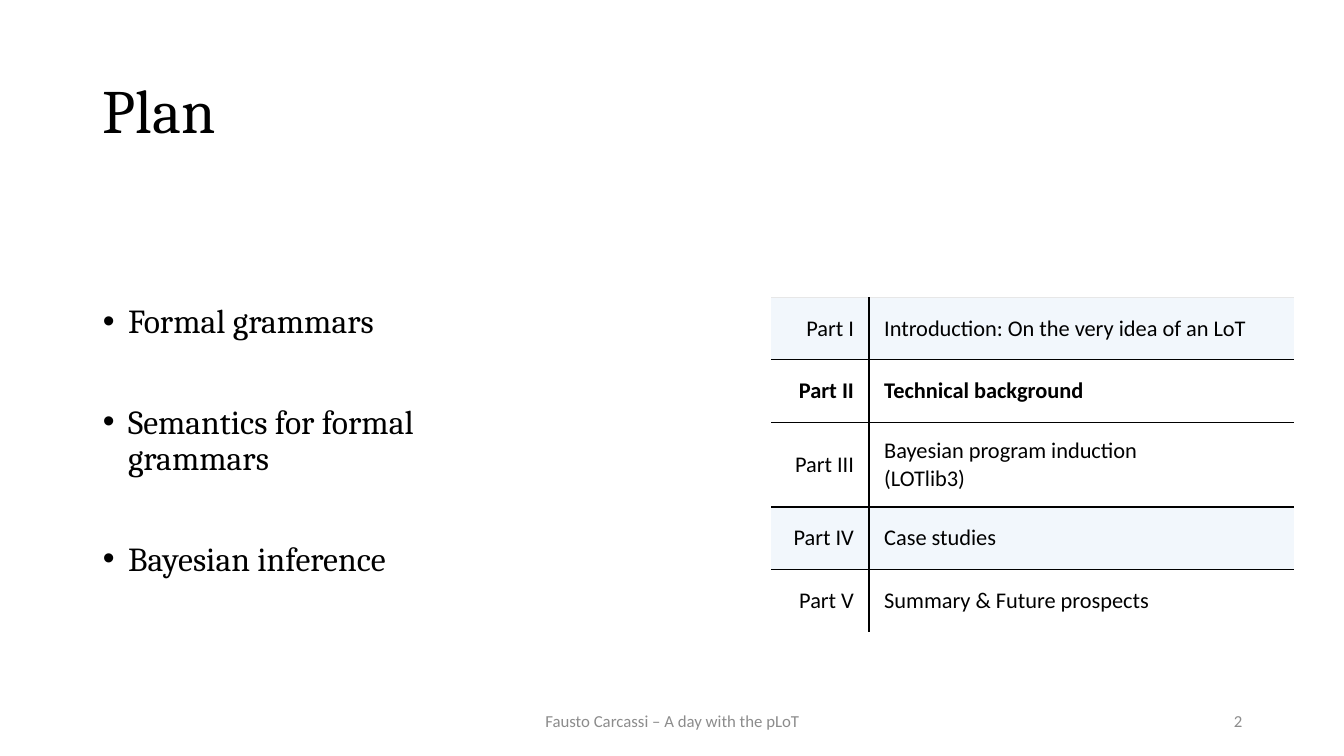
from lxml import etree
from pptx import Presentation, util as u
from pptx.dml.color import RGBColor
from pptx.enum import text
from pptx.oxml import ns

PX = 9144  # EMU in one px, at 100 px to the inch
BLACK = RGBColor(0x00, 0x00, 0x00)
WHITE = RGBColor(0xFF, 0xFF, 0xFF)
GREY = RGBColor(0x8C, 0x8C, 0x8C)
PALE = RGBColor(0xE7, 0xE7, 0xE7)
TINT = RGBColor(0xF2, 0xF7, 0xFC)

LEFT, CENTER, RIGHT = (text.PP_ALIGN.LEFT, text.PP_ALIGN.CENTER,
                       text.PP_ALIGN.RIGHT)
MIDDLE = text.MSO_ANCHOR.MIDDLE

TOPICS = ["Formal grammars", "Semantics for formal grammars",
          "Bayesian inference"]
# label, lines, row height, fill
PARTS = [
    ("Part I", ["Introduction: On the very idea of an LoT"], 62, TINT),
    ("Part II", ["Technical background"], 62, WHITE),
    ("Part III", ["Bayesian program induction", "(LOTlib3)"], 84, WHITE),
    ("Part IV", ["Case studies"], 62, TINT),
    ("Part V", ["Summary & Future prospects"], 62, WHITE),
]
CURRENT = "Part II"
WIDTHS = [97, 421]


def px(*sizes):
    return [u.Emu(size * PX) for size in sizes]


def place(shape, *box):
    shape.left, shape.top, shape.width, shape.height = px(*box)


def write(frame, lines, font, size, color=BLACK, align=LEFT, bold=False):
    """Fill a text frame with one paragraph per line."""
    frame.text = "\n".join(lines)
    frame.word_wrap = True
    for para in frame.paragraphs:
        para.alignment = align
        para.font.name = font
        para.font.size = u.Pt(size)
        para.font.color.rgb = color
        para.font.bold = bold


def add_title(slide, words):
    title = slide.shapes.title
    place(title, 92, 40, 1150, 145)
    frame = title.text_frame
    write(frame, [words], "Cambria", 44)
    frame.vertical_anchor = MIDDLE
    frame.auto_size = text.MSO_AUTO_SIZE.NONE
    frame.paragraphs[0].line_spacing = 0.9


def add_list(slide, topics):
    body = slide.placeholders[1]
    place(body, 92, 200, 456, 476)
    frame = body.text_frame
    write(frame, topics, "Cambria", 24)
    frame.vertical_anchor = MIDDLE
    frame.auto_size = text.MSO_AUTO_SIZE.NONE
    indent, = px(25)
    for row, para in enumerate(frame.paragraphs):
        para.line_spacing = 0.9
        para.space_before = u.Pt(46 if row else 10)
        props = para._p.get_or_add_pPr()
        props.set("marL", str(indent))
        props.set("indent", str(-indent))


def add_note(slide, words, box, align):
    frame = slide.shapes.add_textbox(*px(*box)).text_frame
    write(frame, [words], "Calibri", 12, GREY, align)
    frame.vertical_anchor = MIDDLE


def set_edge(cell, side, color, width):
    """Draw one cell border, or clear it when color is None."""
    props = cell._tc.get_or_add_tcPr()
    line = etree.SubElement(props, ns.qn("a:ln" + side),
                            w=str(u.Pt(width)))
    if color is None:
        etree.SubElement(line, ns.qn("a:noFill"))
    else:
        fill = etree.SubElement(line, ns.qn("a:solidFill"))
        etree.SubElement(fill, ns.qn("a:srgbClr"), val=str(color))


def style_cell(cell, row, col, fill):
    cell.vertical_anchor = MIDDLE
    cell.margin_left = cell.margin_right = u.Inches(0.15)
    cell.margin_top = cell.margin_bottom = u.Inches(0.15)
    last = row == len(PARTS) - 1
    set_edge(cell, "L", BLACK if col else None, 1)
    set_edge(cell, "R", None if col else BLACK, 1)
    set_edge(cell, "T", BLACK if row else PALE, 1 if row else 0.3)
    set_edge(cell, "B", None if last else BLACK, 1)
    cell.fill.solid()
    cell.fill.fore_color.rgb = fill


def add_parts(slide):
    tall = sum(part[2] for part in PARTS)
    table = slide.shapes.add_table(
        len(PARTS), len(WIDTHS), *px(765, 295, sum(WIDTHS), tall)).table
    table.first_row = table.horz_banding = False
    for col, width in zip(table.columns, px(*WIDTHS)):
        col.width = width
    for row, (label, lines, height, fill) in enumerate(PARTS):
        table.rows[row].height = px(height)[0]
        for col, (words, align) in enumerate([([label], RIGHT),
                                              (lines, LEFT)]):
            cell = table.cell(row, col)
            write(cell.text_frame, words, "Calibri", 16, align=align,
                  bold=label == CURRENT)
            style_cell(cell, row, col, fill)


def main():
    deck = Presentation()
    deck.slide_width, deck.slide_height = px(1333, 750)
    slide = deck.slides.add_slide(deck.slide_layouts[1])
    add_title(slide, "Plan")
    add_list(slide, TOPICS)
    add_note(slide, "Fausto Carcassi – A day with the pLoT",
             (442, 695, 450, 40), CENTER)
    add_note(slide, "2", (942, 695, 300, 40), RIGHT)
    add_parts(slide)
    deck.save("out.pptx")


if __name__ == "__main__":
    main()
